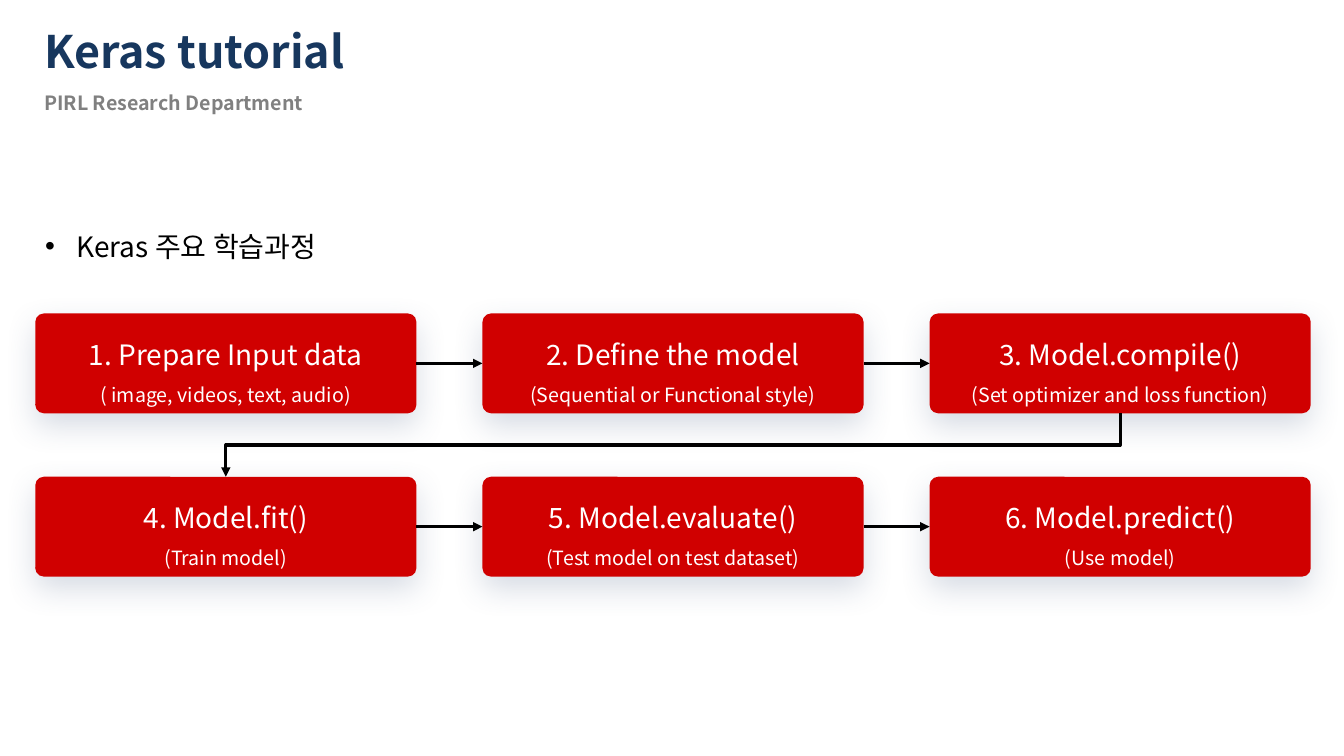
from dataclasses import dataclass

from lxml import etree
from pptx import Presentation
from pptx.dml.color import RGBColor
from pptx.enum.shapes import MSO_CONNECTOR, MSO_SHAPE
from pptx.enum.text import MSO_ANCHOR, PP_ALIGN
from pptx.oxml.ns import qn
from pptx.util import Inches, Pt

STRAIGHT, ELBOW = MSO_CONNECTOR.STRAIGHT, MSO_CONNECTOR.ELBOW
ROUNDED = MSO_SHAPE.ROUNDED_RECTANGLE
MIDDLE, CENTER = MSO_ANCHOR.MIDDLE, PP_ALIGN.CENTER
TOP, LEFT, BOTTOM, RIGHT = range(4)


@dataclass(frozen=True)
class Theme:
    font: str = "Noto Sans CJK KR"
    navy: str = "17375E"
    gray: str = "808080"
    red: str = "D00000"
    white: str = "FFFFFF"
    black: str = "000000"
    shadow: str = "475D84"
    title_size: int = 32
    body_size: int = 20
    detail_size: int = 14
    line_spacing: float = 1.5


THEME = Theme()

STEPS = [
    ("1. Prepare Input data", "( image, videos, text, audio)"),
    ("2. Define the model", "(Sequential or Functional style)"),
    ("3. Model.compile()", "(Set optimizer and loss function)"),
    ("4. Model.fit()", "(Train model)"),
    ("5. Model.evaluate()", "(Test model on test dataset)"),
    ("6. Model.predict()", "(Use model)"),
]
COLUMNS = 3
FIRST_LEFT, LAST_LEFT = 0.35, 9.22
COLUMN_PITCH = (LAST_LEFT - FIRST_LEFT) / (COLUMNS - 1)
FIRST_TOP, ROW_PITCH = 3.11, 1.62
STEP_WIDTH, STEP_HEIGHT = 3.78, 0.99


def style_paragraph(paragraph, size, color, bold=False):
    for run in paragraph.runs:
        run.font.name = THEME.font
        run.font.size = Pt(size)
        run.font.bold = bold
        run.font.color.rgb = RGBColor.from_string(color)
        east_asian = etree.SubElement(run.font._element, qn("a:ea"))
        east_asian.set("typeface", THEME.font)


def add_text(slide, box, text, size, color, bold=False):
    """Add a one-paragraph text box and return its paragraph."""
    frame = slide.shapes.add_textbox(*map(Inches, box)).text_frame
    frame.word_wrap = True
    frame.margin_top = frame.margin_bottom = 0
    frame.vertical_anchor = MIDDLE if size == THEME.body_size else MSO_ANCHOR.TOP
    frame.text = text
    paragraph = frame.paragraphs[0]
    style_paragraph(paragraph, size, color, bold)
    return paragraph


def add_bullet(paragraph, indent):
    properties = paragraph._p.get_or_add_pPr()
    properties.set("marL", str(Inches(indent)))
    properties.set("indent", str(-Inches(indent)))
    etree.SubElement(properties, qn("a:buFont")).set("typeface", "Arial")
    etree.SubElement(properties, qn("a:buChar")).set("char", "•")


def add_soft_shadow(shape):
    shape.shadow.inherit = False
    effects = shape._element.spPr.find(qn("a:effectLst"))
    shadow = etree.SubElement(
        effects, qn("a:outerShdw"), blurRad=str(Pt(23)), dist=str(Pt(8.7)),
        dir="5400000", algn="t", rotWithShape="0")
    color = etree.SubElement(shadow, qn("a:srgbClr"), val=THEME.shadow)
    etree.SubElement(color, qn("a:alpha"), val="22000")


def add_step(slide, index, heading, detail):
    row, column = divmod(index, COLUMNS)
    step = slide.shapes.add_shape(
        ROUNDED,
        Inches(FIRST_LEFT + column * COLUMN_PITCH),
        Inches(FIRST_TOP + row * ROW_PITCH),
        Inches(STEP_WIDTH), Inches(STEP_HEIGHT))
    step.adjustments[0] = 0.085
    step.fill.solid()
    step.fill.fore_color.rgb = RGBColor.from_string(THEME.red)
    step.line.fill.background()
    add_soft_shadow(step)

    frame = step.text_frame
    frame.word_wrap = True
    frame.vertical_anchor = MIDDLE
    frame.margin_left = frame.margin_right = Inches(0.06)
    frame.margin_top = frame.margin_bottom = Inches(0.06)
    frame.text = f"{heading}\n{detail}"
    sizes = (THEME.body_size, THEME.detail_size)
    for paragraph, size in zip(frame.paragraphs, sizes):
        paragraph.alignment = CENTER
        paragraph.line_spacing = THEME.line_spacing
        style_paragraph(paragraph, size, THEME.white)
    return step


def add_arrow(slide, kind, source, source_side, target, target_side):
    arrow = slide.shapes.add_connector(kind, 0, 0, 0, 0)
    arrow.begin_connect(source, source_side)
    arrow.end_connect(target, target_side)
    arrow.line.width = Pt(2.25)
    arrow.line.color.rgb = RGBColor.from_string(THEME.black)
    etree.SubElement(arrow.line._get_or_add_ln(), qn("a:tailEnd"), type="triangle")
    etree.SubElement(arrow._element.spPr, qn("a:effectLst"))
    return arrow


def add_row_return(slide, source, target):
    """Lead from the end of one row down and back to the start of the next."""
    arrow = add_arrow(slide, ELBOW, source, BOTTOM, target, TOP)
    start_x = source.left + source.width // 2
    end_x = target.left + target.width // 2
    start_y, end_y = source.top + source.height, target.top
    drop, run = end_y - start_y, start_x - end_x
    # A quarter turn makes the elbow leave vertically.
    arrow.left = (start_x + end_x - drop) // 2
    arrow.top = (start_y + end_y - run) // 2
    arrow.width, arrow.height = drop, run
    transform = arrow._element.spPr.find(qn("a:xfrm"))
    transform.attrib.pop("flipH", None)
    transform.set("rot", "5400000")


def main():
    prs = Presentation()
    prs.slide_width, prs.slide_height = Inches(13.33), Inches(7.5)
    slide = prs.slides.add_slide(prs.slide_layouts[6])

    add_text(slide, (0.34, 0.24, 6.23, 0.64), "Keras tutorial",
             THEME.title_size, THEME.navy, bold=True)
    add_text(slide, (0.34, 0.9, 6.03, 0.22), "PIRL Research Department",
             THEME.detail_size, THEME.gray, bold=True)

    steps = [add_step(slide, i, *texts) for i, texts in enumerate(STEPS)]
    for i, (source, target) in enumerate(zip(steps, steps[1:]), start=1):
        if i % COLUMNS:
            add_arrow(slide, STRAIGHT, source, RIGHT, target, LEFT)
        else:
            add_row_return(slide, source, target)

    topic = add_text(slide, (0.35, 2.09, 9.43, 0.54), "Keras 주요 학습과정",
                     THEME.body_size, THEME.black)
    add_bullet(topic, 0.31)
    topic.line_spacing = THEME.line_spacing

    prs.save("out.pptx")


if __name__ == "__main__":
    main()
